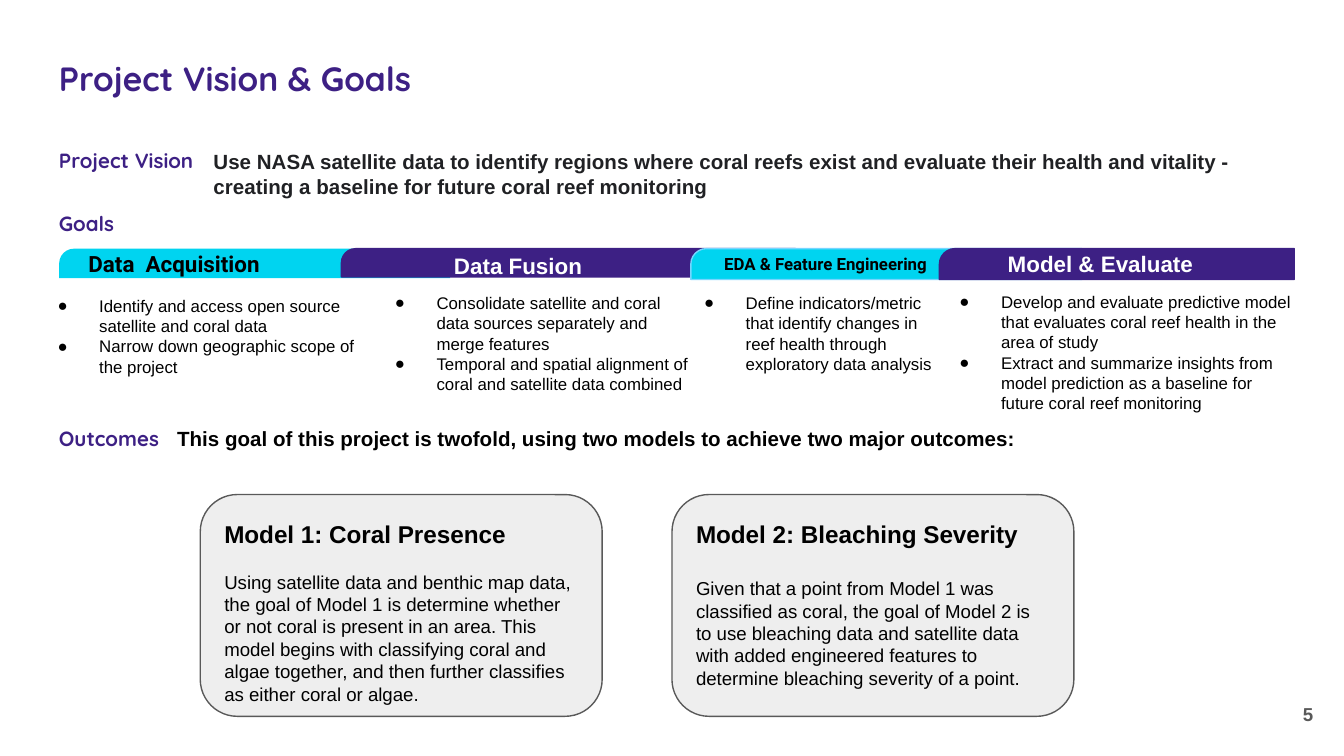
from dataclasses import dataclass

from lxml import etree
from pptx import Presentation
from pptx.dml.color import RGBColor
from pptx.enum.shapes import MSO_SHAPE
from pptx.enum.text import MSO_ANCHOR, PP_ALIGN
from pptx.oxml.ns import qn
from pptx.util import Inches, Pt

ROUND_ONE = MSO_SHAPE.ROUND_1_RECTANGLE
ROUNDED = MSO_SHAPE.ROUNDED_RECTANGLE
TOP, MIDDLE = MSO_ANCHOR.TOP, MSO_ANCHOR.MIDDLE
LEFT, RIGHT = PP_ALIGN.LEFT, PP_ALIGN.RIGHT


@dataclass(frozen=True)
class Theme:
    purple: str = "3D2084"
    cyan: str = "00D4F0"
    pale_blue: str = "76D6FF"
    black: str = "000000"
    ink: str = "202124"
    white: str = "FFFFFF"
    gray: str = "595959"
    card: str = "EEEEEE"
    body_font: str = "Arial"
    heading_font: str = "Quicksand"
    banner_font: str = "Roboto"
    title_size: int = 18
    card_title_size: int = 13
    banner_size: int = 12
    heading_size: int = 11
    body_size: int = 10
    small_size: int = 9


THEME = Theme()


def style(size, color=THEME.black, name=THEME.body_font, bold=True):
    return {"size": Pt(size), "name": name, "bold": bold, "color": color}


TITLE = style(THEME.title_size, THEME.purple, THEME.heading_font)
HEADING = style(THEME.heading_size, THEME.purple, THEME.heading_font)
VISION = style(THEME.heading_size, THEME.ink)
OUTCOME = style(THEME.heading_size)
BULLET = style(THEME.small_size, bold=False)
CARD_TITLE = style(THEME.card_title_size)
CARD_BODY = style(THEME.body_size, bold=False)
PAGE_NUMBER = style(THEME.body_size, THEME.gray)
ACQUISITION = style(THEME.banner_size, name=THEME.banner_font)
ENGINEERING = style(THEME.small_size, name=THEME.banner_font)
ON_PURPLE = style(THEME.banner_size, THEME.white)

# Banner: left, top, width, height, fill, line; label: left, top, text, format
BANNERS = [
    ((0.44, 1.85, 2.91, 0.22), THEME.cyan, None,
     (0.56, 1.76), "Data  Acquisition", ACQUISITION),
    ((2.54, 1.85, 3.38, 0.21), THEME.purple, THEME.purple,
     (3.28, 1.78), "Data Fusion", ON_PURPLE),
    ((5.14, 1.85, 2.91, 0.23), THEME.cyan, THEME.pale_blue,
     (5.29, 1.81), "EDA & Feature Engineering", ENGINEERING),
    ((6.99, 1.85, 2.64, 0.23), THEME.purple, THEME.purple,
     (7.4, 1.76), "Model & Evaluate", ON_PURPLE),
]

GOALS = [
    ((0.14, 2.1, 2.63, 0.81),
     ["Identify and access open source satellite and coral data",
      "Narrow down geographic scope of the project"]),
    ((2.65, 2.08, 2.57, 0.96),
     ["Consolidate satellite and coral data sources separately and merge features",
      "Temporal and spatial alignment of coral and satellite data combined"]),
    ((4.95, 2.08, 2.12, 0.94),
     ["Define indicators/metric that identify changes in reef health through "
      "exploratory data analysis"]),
    ((6.85, 2.07, 2.91, 1.11),
     ["Develop and evaluate predictive model that evaluates coral reef health "
      "in the area of study",
      "Extract and summarize insights from model prediction as a baseline for "
      "future coral reef monitoring"]),
]

# Card: left, title, points between title and body, body
CARDS = [
    (1.49, "Model 1: Coral Presence", 12,
     "Using satellite data and benthic map data, the goal of Model 1 is determine "
     "whether or not coral is present in an area. This model begins with classifying "
     "coral and algae together, and then further classifies as either coral or algae."),
    (5, "Model 2: Bleaching Severity", 15.5,
     "Given that a point from Model 1 was classified as coral, the goal of Model 2 is "
     "to use bleaching data and satellite data with added engineered features to "
     "determine bleaching severity of a point."),
]


def add_run(paragraph, text, text_format):
    run = paragraph.add_run()
    run.text = text
    for key, value in text_format.items():
        if key == "color":
            run.font.color.rgb = RGBColor.from_string(value)
        else:
            setattr(run.font, key, value)


def prepare_frame(shape, anchor=TOP):
    """Set wrapping, equal insets and the anchor; return the text frame."""
    frame = shape.text_frame
    settings = {"word_wrap": True, "vertical_anchor": anchor}
    settings.update({f"margin_{side}": Inches(0.1)
                     for side in ("left", "top", "right", "bottom")})
    for key, value in settings.items():
        setattr(frame, key, value)
    return frame


def add_frame(slide, box, anchor=TOP):
    return prepare_frame(slide.shapes.add_textbox(*map(Inches, box)), anchor)


def add_text(slide, box, text, text_format, align=LEFT, anchor=TOP):
    paragraph = add_frame(slide, box, anchor).paragraphs[0]
    paragraph.alignment = align
    add_run(paragraph, text, text_format)


def add_panel(slide, preset, box, corner, fill, line):
    panel = slide.shapes.add_shape(preset, *map(Inches, box))
    panel.shadow.inherit = False
    panel.adjustments[0] = corner
    panel.fill.solid()
    panel.fill.fore_color.rgb = RGBColor.from_string(fill)
    if line:
        panel.line.color.rgb = RGBColor.from_string(line)
        panel.line.width = Pt(0.75)
    else:
        panel.line.fill.background()
    return panel


def add_banner(slide, box, fill, line):
    """Turn an upright bar on its side so its round corner is at the top left."""
    left, top, width, height = box
    shift = (width - height) / 2
    upright = (left + shift, top - shift, height, width)
    add_panel(slide, ROUND_ONE, upright, 0.5, fill, line).rotation = 270


def add_bullets(slide, box, items):
    frame = add_frame(slide, box)
    for index, item in enumerate(items):
        paragraph = frame.add_paragraph() if index else frame.paragraphs[0]
        properties = paragraph._p.get_or_add_pPr()
        properties.set("marL", str(Inches(0.5)))
        properties.set("indent", str(Inches(-0.31)))
        color = etree.SubElement(properties, qn("a:buClr"))
        etree.SubElement(color, qn("a:srgbClr"), val=THEME.black)
        etree.SubElement(properties, qn("a:buFont"), typeface=THEME.body_font)
        etree.SubElement(properties, qn("a:buChar"), char="●")
        add_run(paragraph, item, BULLET)


def add_outcomes(slide):
    paragraph = add_frame(slide, (0.34, 3.08, 7.9, 0.39)).paragraphs[0]
    tabs = etree.SubElement(paragraph._p.get_or_add_pPr(), qn("a:tabLst"))
    etree.SubElement(tabs, qn("a:tab"), pos=str(Inches(0.88)), algn="l")
    add_run(paragraph, "Outcomes\t", HEADING)
    add_run(paragraph, "This goal of this project is twofold, using two models to "
                       "achieve two major outcomes:", OUTCOME)


def add_card(slide, left, title, gap, body):
    card = add_panel(slide, ROUNDED, (left, 3.68, 2.99, 1.65), 0.167,
                     THEME.card, THEME.gray)
    frame = prepare_frame(card)
    heading, description = frame.paragraphs[0], frame.add_paragraph()
    heading.space_after = Pt(gap)
    for paragraph, text, text_format in ((heading, title, CARD_TITLE),
                                         (description, body, CARD_BODY)):
        paragraph.alignment = LEFT
        add_run(paragraph, text, text_format)


def main():
    deck = Presentation()
    deck.slide_width = Inches(10)
    deck.slide_height = deck.slide_width * 9 // 16
    slide = deck.slides.add_slide(deck.slide_layouts[6])

    add_text(slide, (0.34, 0.33, 4.98, 0.5), "Project Vision & Goals", TITLE)
    add_text(slide, (0.34, 1.01, 1.65, 0.39), "Project Vision", HEADING)
    add_text(slide, (1.49, 1.01, 7.77, 0.57),
             "Use NASA satellite data to identify regions where coral reefs exist and "
             "evaluate their health and vitality - creating a baseline for future "
             "coral reef monitoring", VISION)
    add_text(slide, (0.34, 1.48, 2.74, 0.39), "Goals", HEADING)
    for box, items in GOALS:
        add_bullets(slide, box, items)
    for bar, fill, line, corner, label, label_format in BANNERS:
        add_banner(slide, bar, fill, line)
        add_text(slide, (*corner, 2.4, 0.4), label, label_format)
    add_outcomes(slide)
    for card in CARDS:
        add_card(slide, *card)
    add_text(slide, (9.27, 5.1, 0.6, 0.43), "5", PAGE_NUMBER, RIGHT, MIDDLE)

    deck.save("out.pptx")


if __name__ == "__main__":
    main()
